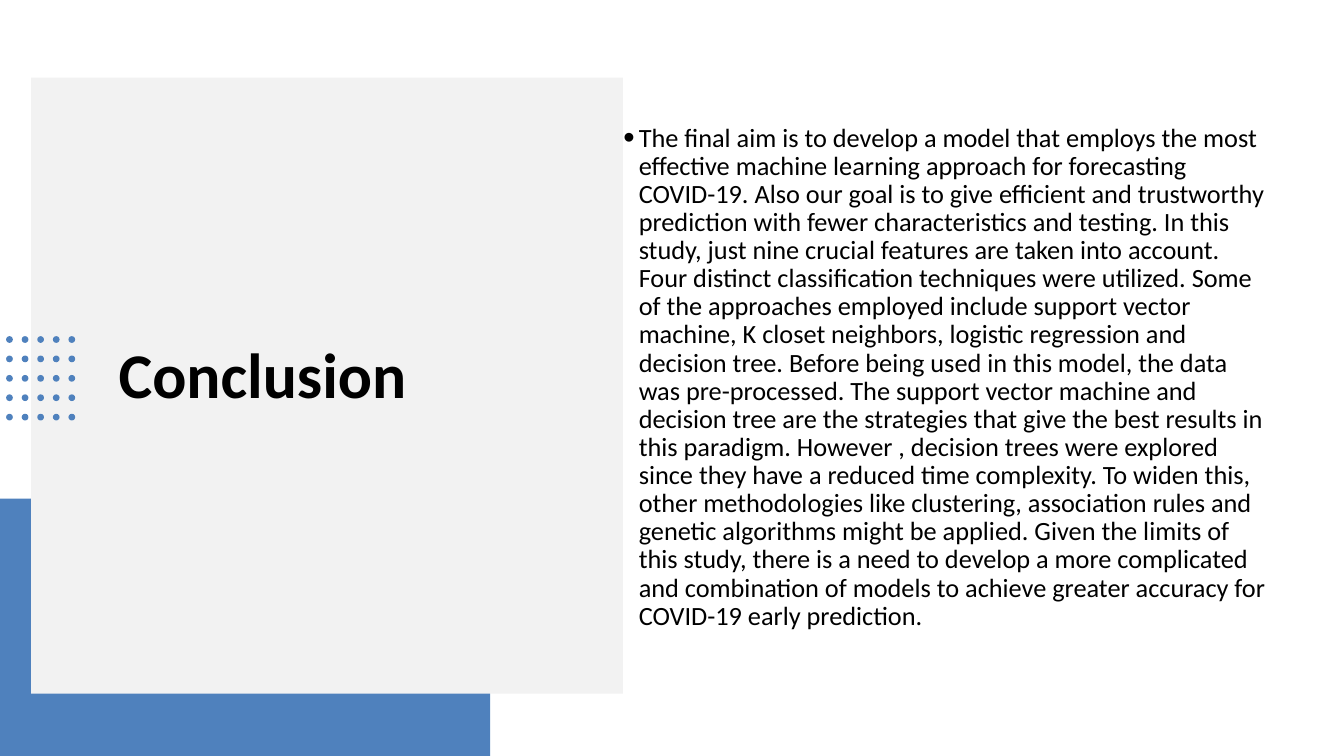
from lxml import etree
from pptx import Presentation
from pptx import util as u
from pptx.dml.color import RGBColor
from pptx.enum import shapes, text
from pptx.oxml import ns

BLUE = RGBColor(0x4F, 0x81, 0xBD)
PALE_GRAY = RGBColor(0xF2, 0xF2, 0xF2)
BLACK = RGBColor(0, 0, 0)

SENTENCES = [
    "The final aim is to develop a model that employs the most effective machine learning "
    "approach for forecasting COVID-19.",
    "Also our goal is to give efficient and trustworthy prediction with fewer characteristics "
    "and testing.",
    "In this study, just nine crucial features are taken into account.",
    "Four distinct classification techniques were utilized.",
    "Some of the approaches employed include support vector machine, K closet neighbors, "
    "logistic regression and decision tree.",
    "Before being used in this model, the data was pre-processed.",
    "The support vector machine and decision tree are the strategies that give the best "
    "results in this paradigm.",
    "However , decision trees were explored since they have a reduced time complexity.",
    "To widen this, other methodologies like clustering, association rules and genetic "
    "algorithms might be applied.",
    "Given the limits of this study, there is a need to develop a more complicated and "
    "combination of models to achieve greater accuracy for COVID-19 early prediction.",
]


class SlideBuilder:
    """Draw styled elements on the current slide, with lengths in points."""

    def __init__(self, page, font="Calibri"):
        self.page = page
        self.font = font

    def shape(self, kind, left, top, width, height, color, parent=None):
        owner = parent or self.page
        box = owner.shapes.add_shape(kind, u.Pt(left), u.Pt(top), u.Pt(width), u.Pt(height))
        box.shadow.inherit = False
        box.fill.solid()
        box.fill.fore_color.rgb = color
        box.line.fill.background()

    def dot_grid(self, left, top, across, down, count, size, color):
        group = self.page.shapes.add_group_shape()
        for column in range(count):
            for row in range(count):
                self.shape(shapes.MSO_SHAPE.OVAL, left + column * across, top + row * down,
                           size, size, color, group)

    def placeholder(self, box, wording, left, top, width, height, size, spacing, bold=False):
        self.page.shapes._spTree.append(box._element)
        box.left, box.top = u.Pt(left), u.Pt(top)
        box.width, box.height = u.Pt(width), u.Pt(height)
        frame = box.text_frame
        frame.text = wording
        frame.word_wrap = True
        frame.auto_size = text.MSO_AUTO_SIZE.NONE
        frame.vertical_anchor = text.MSO_ANCHOR.MIDDLE
        para = frame.paragraphs[0]
        para.alignment = text.PP_ALIGN.LEFT
        para.line_spacing = spacing
        para.space_before = u.Pt(1.2)
        span = para.runs[0].font
        span.name, span.size, span.bold = self.font, u.Pt(size), bold
        span.color.rgb = BLACK
        return para

    def bullet(self, para, indent, hanging, percent):
        properties = para._p.get_or_add_pPr()
        properties.set("marL", str(u.Pt(indent)))
        properties.set("indent", str(-u.Pt(hanging)))
        for tag, name, value in (("a:buSzPct", "val", str(percent * 1000)),
                                 ("a:buFont", "typeface", "Arial"),
                                 ("a:buChar", "char", "•")):
            etree.SubElement(properties, ns.qn(tag)).set(name, value)


def main():
    deck = Presentation()
    deck.slide_width, deck.slide_height = u.Pt(1583.3), u.Pt(890.6)
    page = deck.slides.add_slide(deck.slide_layouts[1])
    builder = SlideBuilder(page)
    title, body = page.shapes.title, page.placeholders[1]

    rectangle = shapes.MSO_SHAPE.RECTANGLE
    builder.shape(rectangle, 0, 587.5, 577.5, 303.1, BLUE)
    builder.shape(rectangle, 36.7, 91.4, 697, 725.8, PALE_GRAY)
    builder.placeholder(title, "Conclusion", 132.5, 175, 544.3, 540.7, 75, 0.9, bold=True)
    builder.dot_grid(7.2, 396, 18.36, 22.86, 5, 7.9, BLUE)
    para = builder.placeholder(body, " ".join(SENTENCES), 719.3, 97.2, 786.2, 695.5, 31, 0.89)
    builder.bullet(para, 26, 18, 123)

    deck.save("out.pptx")


if __name__ == "__main__":
    main()
